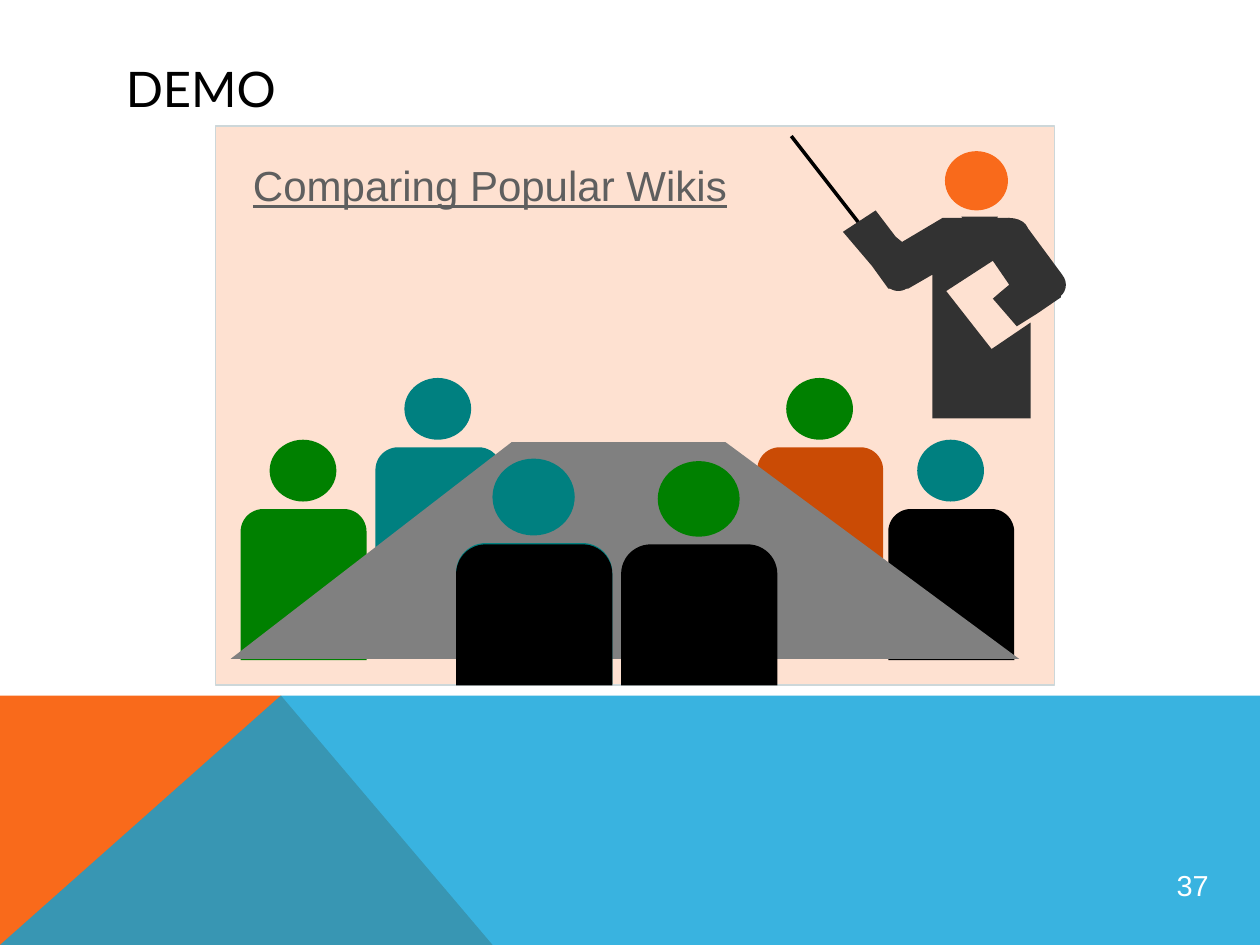
from dataclasses import dataclass

from lxml.etree import SubElement
from pptx import Presentation
from pptx.dml.color import RGBColor
from pptx.enum.shapes import MSO_CONNECTOR, MSO_SHAPE
from pptx.enum.text import MSO_ANCHOR, PP_ALIGN
from pptx.oxml.ns import qn
from pptx.util import Inches, Pt

COLORS = {
    "white": "FFFFFF", "black": "000000", "orange": "F96A1B", "blue": "08A1D9",
    "wall": "FEE1D1", "border": "CDD7D9", "suit": "323232", "rust": "CA4B05",
    "teal": "008080", "green": "008000", "table": "808080", "caption": "5F5F5F",
}


@dataclass
class Person:
    head_left: float
    head_top: float
    head_color: str
    body_left: float
    body_top: float
    body_color: str


@dataclass
class PersonSize:
    head_width: float
    head_height: float
    body_width: float
    body_height: float
    corner: float


SEATED = PersonSize(0.53, 0.49, 1, 1.2, 0.18)
FRONT = PersonSize(0.65, 0.6, 1.24, 1.12, 0.21)

SIDE_PEOPLE = [
    Person(7.28, 3.49, "teal", 7.05, 4.04, "black"),
    Person(6.24, 3, "green", 6.01, 3.55, "rust"),
    Person(3.21, 3, "teal", 2.98, 3.55, "teal"),
    Person(2.14, 3.49, "green", 1.91, 4.04, "green"),
]
FRONT_PEOPLE = [
    Person(5.22, 3.66, "green", 4.93, 4.32, "black"),
    Person(3.91, 3.64, "teal", 3.62, 4.31, "teal"),
    Person(3.91, 3.65, "teal", 3.62, 4.32, "black"),
]

presentation = Presentation()
presentation.slide_width = Inches(10)
presentation.slide_height = Inches(7.5)
slide = presentation.slides.add_slide(presentation.slide_layouts[6])


def color_of(name: str) -> RGBColor:
    return RGBColor.from_string(COLORS[name])


def paint(shape, color: str):
    shape.shadow.inherit = False
    shape.fill.solid()
    shape.fill.fore_color.rgb = color_of(color)
    shape.line.fill.background()
    return shape


def add_preset(kind, left: float, top: float, width: float, height: float, color: str):
    shape = slide.shapes.add_shape(
        kind, Inches(left), Inches(top), Inches(width), Inches(height))
    return paint(shape, color)


def add_polygon(points: list, color: str):
    corners = [(Inches(x), Inches(y)) for x, y in points]
    builder = slide.shapes.build_freeform(*corners[0], scale=1)
    builder.add_line_segments(corners[1:], close=True)
    return paint(builder.convert_to_shape(), color)


def add_person(person: Person, size: PersonSize) -> None:
    body = add_preset(MSO_SHAPE.ROUND_2_SAME_RECTANGLE, person.body_left, person.body_top,
                      size.body_width, size.body_height, person.body_color)
    body.adjustments[0] = size.corner
    add_preset(MSO_SHAPE.OVAL, person.head_left, person.head_top,
               size.head_width, size.head_height, person.head_color)


def add_run(paragraph, text: str, font_name: str, size: float, color: str) -> None:
    run = paragraph.add_run()
    run.text = text
    run.font.name = font_name
    run.font.size = Pt(size)
    run.font.color.rgb = color_of(color)
    run.font.underline = color == "caption"


def add_label(left: float, top: float, width: float, height: float, anchor,
              text: str, font_name: str, size: float, color: str) -> None:
    box = slide.shapes.add_textbox(Inches(left), Inches(top), Inches(width), Inches(height))
    box.text_frame.word_wrap = True
    box.text_frame.vertical_anchor = anchor
    add_run(box.text_frame.paragraphs[0], text, font_name, size, color)


# Bottom band
add_polygon([(0, 7.5), (0, 5.52), (2.23, 5.52), (3.91, 7.5)], "orange")
band = add_polygon([(0, 7.5), (2.23, 5.52), (10, 5.52), (10, 7.5)], "blue")
band_color = band.fill._xPr.find(qn("a:solidFill")).find(qn("a:srgbClr"))
SubElement(band_color, qn("a:alpha")).set("val", "80000")

# Slide number
number = add_preset(MSO_SHAPE.OVAL, 9.19, 6.75, 0.55, 0.55, "blue")
number.fill.background()
frame = number.text_frame
frame.margin_left = frame.margin_right = frame.margin_top = frame.margin_bottom = Inches(0.01)
frame.vertical_anchor = MSO_ANCHOR.MIDDLE
frame.paragraphs[0].alignment = PP_ALIGN.CENTER
add_run(frame.paragraphs[0], "37", "Arial", 16.5, "white")

# Meeting room wall
wall = add_preset(MSO_SHAPE.RECTANGLE, 1.71, 1, 6.66, 4.44, "wall")
wall.line.color.rgb = color_of("border")
wall.line.width = Pt(1)

# Presenter with pointer
pointer = slide.shapes.add_connector(
    MSO_CONNECTOR.STRAIGHT, Inches(6.91), Inches(1.89), Inches(6.28), Inches(1.08))
pointer.line.color.rgb = color_of("black")
pointer.line.width = Pt(2)
SubElement(pointer._element.spPr, qn("a:effectLst"))
add_preset(MSO_SHAPE.OVAL, 7.03, 2.15, 0.2, 0.16, "suit")
add_preset(MSO_SHAPE.OVAL, 7.5, 1.2, 0.5, 0.47, "orange")
add_polygon([
    (7.91, 1.73), (8.01, 1.73), (8.15, 1.8), (8.43, 2.18), (8.42, 2.36), (8.23, 2.49),
    (8.07, 2.59), (7.88, 2.37), (7.95, 2.31), (8.01, 2.26), (7.88, 2.07), (7.51, 2.31),
    (7.87, 2.77), (8.18, 2.56), (8.18, 3.32), (7.4, 3.32), (7.4, 2.18), (7.21, 2.29),
    (7.05, 2.29), (6.92, 2.11), (6.69, 1.84), (6.95, 1.67), (7.11, 1.88), (7.16, 1.92),
    (7.48, 1.73),
], "suit")
add_preset(MSO_SHAPE.OVAL, 8.26, 2.15, 0.2, 0.22, "suit")
add_polygon([(7.63, 1.72), (7.92, 1.72), (7.87, 1.8), (7.77, 1.83), (7.68, 1.8)], "suit")
add_preset(MSO_SHAPE.OVAL, 7.86, 1.73, 0.3, 0.2, "suit")

# People around the table
for side_person in SIDE_PEOPLE:
    add_person(side_person, SEATED)
add_polygon([(1.83, 5.23), (4.06, 3.51), (5.76, 3.51), (8.09, 5.23)], "table")
for front_person in FRONT_PEOPLE:
    add_person(front_person, FRONT)

# Caption and title
add_label(1.91, 1.22, 4.6, 0.5, MSO_ANCHOR.TOP, "Comparing Popular Wikis", "Arial", 24, "caption")
add_label(0.9, 0.4, 8.23, 0.6, MSO_ANCHOR.MIDDLE, "DEMO", "Lato", 28, "black")

presentation.save("out.pptx")
